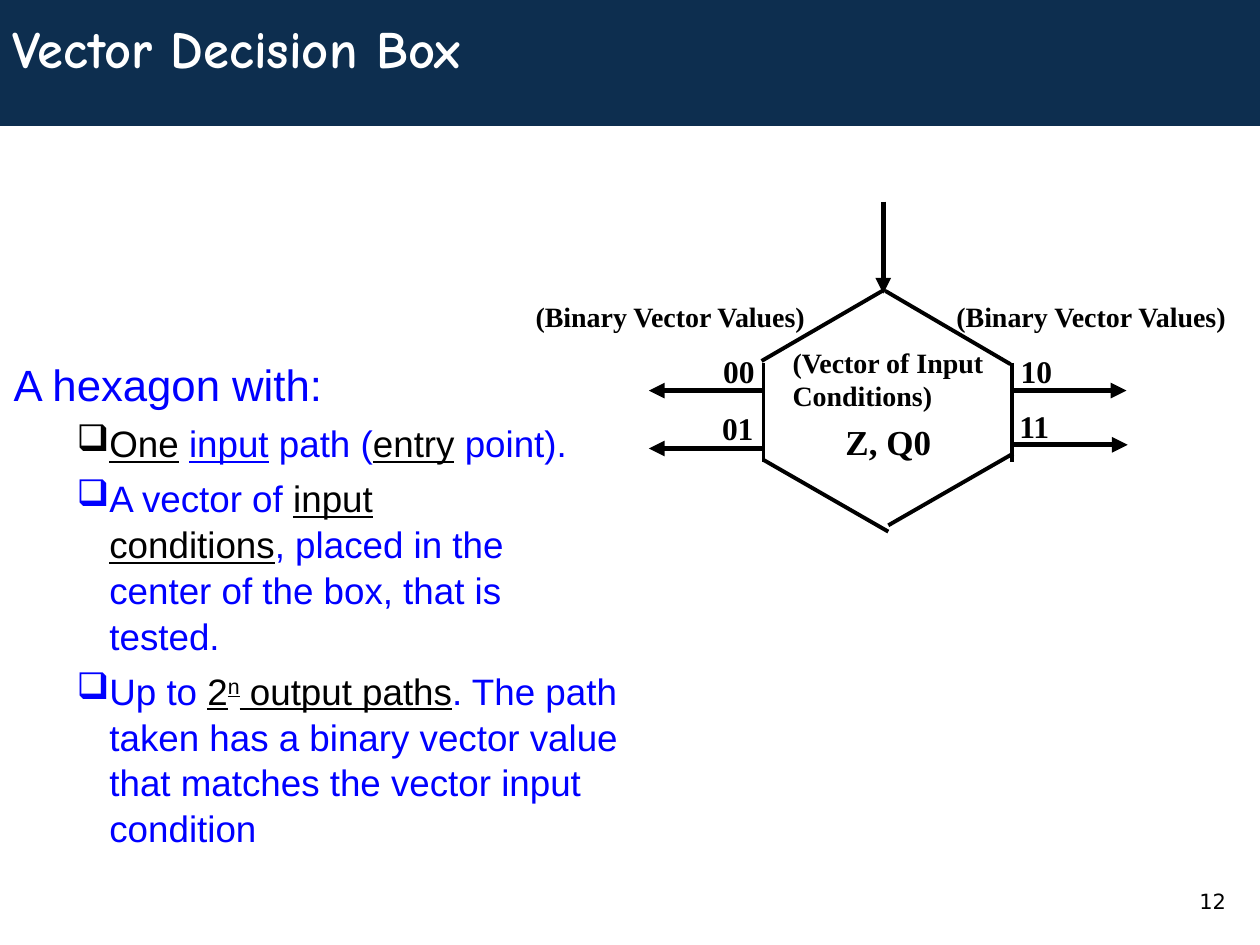
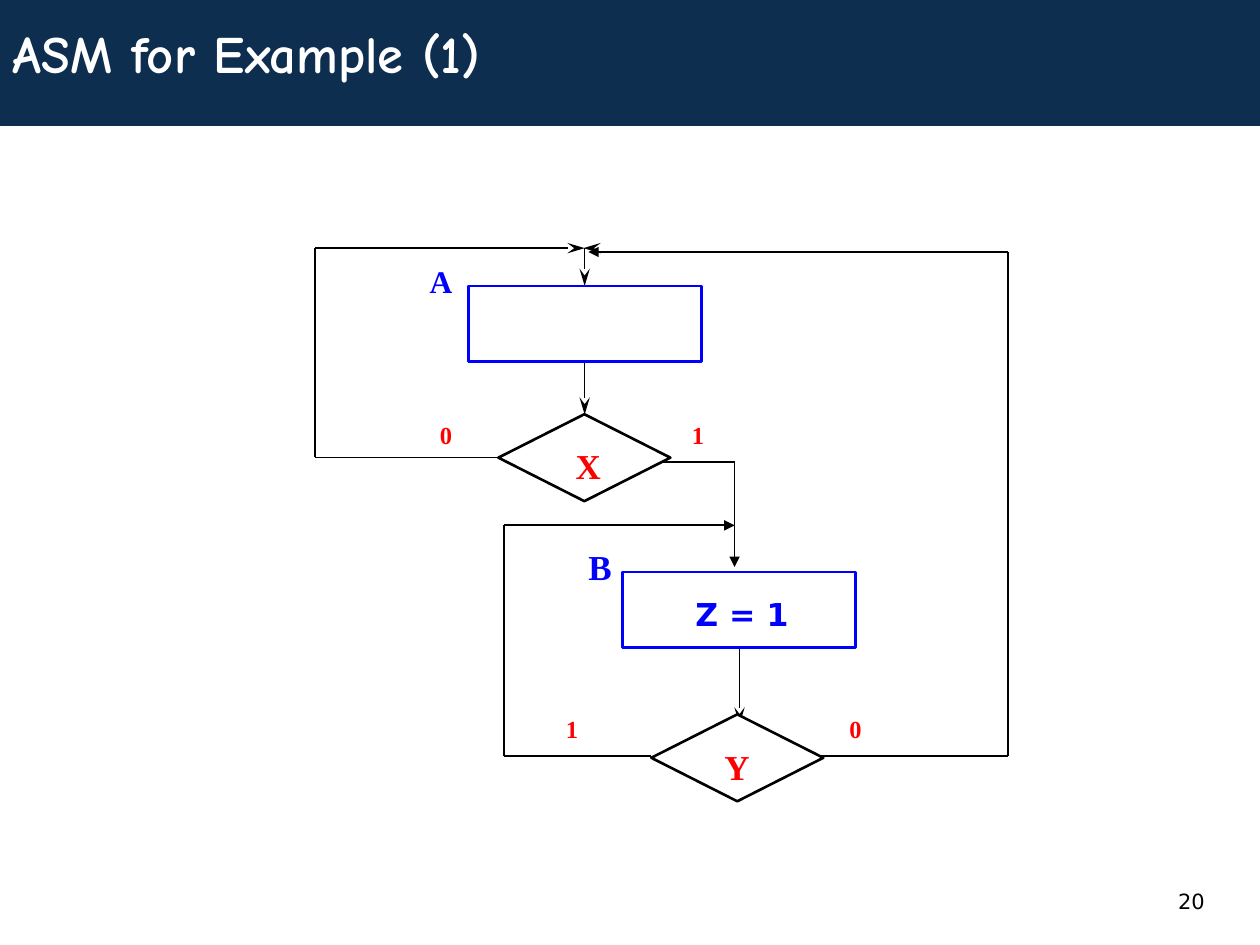
from itertools import pairwise

from lxml import etree
from pptx import Presentation
from pptx import util as u
from pptx.dml import color
from pptx.enum import shapes, text
from pptx.oxml import ns

Pt = u.Pt
rgb = color.RGBColor.from_string
BLACK, BLUE, RED, WHITE, NAVY = "000000", "0000FF", "FF0000", "FFFFFF", "0D2E4F"
SERIF, SANS, BODY, DISPLAY = "Times New Roman", "DejaVu Sans", "Arial", "Comic Neue"


def label(slide, words, left, top, width, size, ink=BLACK, face=SERIF, bold=True):
    box = slide.shapes.add_textbox(Pt(left), Pt(top), Pt(width), Pt(size * 1.2))
    frame = box.text_frame
    frame.margin_left = frame.margin_right = frame.margin_top = frame.margin_bottom = 0
    frame.word_wrap = False
    frame.text = words
    for paragraph in frame.paragraphs:
        for run in paragraph.runs:
            run.font.size, run.font.name, run.font.bold = Pt(size), face, bold
            run.font.color.rgb = rgb(ink)


def route(slide, points, weight, head=None, length="med"):
    for start, end in pairwise(points):
        segment = slide.shapes.add_connector(
            shapes.MSO_CONNECTOR.STRAIGHT, *[Pt(v) for v in start + end])
        segment.line.width = Pt(weight)
        segment.line.color.rgb = rgb(BLACK)
        etree.SubElement(segment._element.spPr, ns.qn("a:effectLst"))
    if head:
        etree.SubElement(segment.line._get_or_add_ln(), ns.qn("a:tailEnd"),
                         type=head, w="med", len=length)


deck = Presentation()
deck.slide_width, deck.slide_height = Pt(720), Pt(540)
layout = deck.slide_layouts[5]

slides = []
for heading, title_height, number, number_left in [
    ("Vector Decision Box", 54, "12", 685.4),
    ("ASM for Example (1)", 60, "20", 673.2),
]:
    slide = deck.slides.add_slide(layout)
    slides.append(slide)
    title = slide.shapes.title
    title.left, title.top, title.width, title.height = 0, 0, Pt(720), Pt(title_height)
    frame = title.text_frame
    frame.text = heading
    frame.auto_size = text.MSO_AUTO_SIZE.NONE
    frame.vertical_anchor = text.MSO_ANCHOR.MIDDLE
    frame.paragraphs[0].alignment = text.PP_ALIGN.LEFT
    font = frame.paragraphs[0].runs[0].font
    font.size, font.name, font.bold = Pt(30), DISPLAY, True
    font.color.rgb = rgb(WHITE)
    label(slide, number, number_left, 507.6, 17, 12, face=SANS, bold=False)

decision, example = slides

band = decision.shapes.add_shape(shapes.MSO_SHAPE.RECTANGLE, 0, 0, Pt(720), Pt(72))
band.shadow.inherit = False
band.fill.solid()
band.fill.fore_color.rgb = rgb(NAVY)
band.line.fill.background()
layout.shapes._spTree.insert(2, band._element)

description = decision.shapes.add_textbox(Pt(0.7), Pt(201), Pt(389.5), Pt(337.5)).text_frame
description.word_wrap = True
lines = [
    (None, [("A hexagon with:", BLUE, False)]),
    (BLACK, [("One", BLACK, True), (" ", BLUE, False), ("input", BLUE, True),
             (" path (", BLUE, False), ("entry", BLACK, True), (" point).", BLUE, False)]),
    (BLUE, [("A vector of ", BLUE, False), ("input\nconditions", BLACK, True),
            (", placed in the\ncenter of the box, that is\ntested.", BLUE, False)]),
    (BLUE, [("Up to ", BLUE, False), ("2", BLACK, True), ("n", BLACK, True),
            (" output paths", BLACK, True),
            (". The path taken has a binary vector value that matches "
             "the vector input condition", BLUE, False)]),
]
for index, (bullet_ink, pieces) in enumerate(lines):
    paragraph = description.add_paragraph() if index else description.paragraphs[0]
    if bullet_ink:
        paragraph.space_before = Pt(5.2)
        paragraph.line_spacing = 1.04
        properties = paragraph._p.get_or_add_pPr()
        properties.set("marL", str(Pt(54.7)))
        properties.set("indent", str(Pt(-18.7)))
        bullet_color = etree.SubElement(properties, ns.qn("a:buClr"))
        etree.SubElement(bullet_color, ns.qn("a:srgbClr"), val=bullet_ink)
        etree.SubElement(properties, ns.qn("a:buChar"), char="❑")
    for words, ink, underlined in pieces:
        for part, line in enumerate(words.split("\n")):
            if part:
                paragraph.add_line_break()
            run = paragraph.add_run()
            run.text = line
            run.font.size = Pt(21 if bullet_ink else 25)
            run.font.name, run.font.underline = BODY, underlined
            run.font.color.rgb = rgb(ink)
            if words == "n":
                run.font._element.set("baseline", "30000")

for side in [
    [(435.2, 206.3), (506, 165.2)],
    [(506, 166.3), (577.4, 208.1)],
    [(436.3, 262.8), (507.6, 303.8)],
    [(507.6, 300.2), (578.9, 259.2)],
    [(436.3, 207.4), (436.3, 264.2)],
    [(578.2, 207.4), (578.2, 264.2)],
]:
    route(decision, side, 2.25)
for path in [
    [(504.7, 115.2), (504.7, 167.8)],
    [(578.2, 223.2), (643.7, 223.2)],
    [(435.6, 223.2), (370.8, 223.2)],
    [(435.6, 256.3), (370.8, 256.3)],
    [(579.6, 254.2), (644.4, 254.2)],
]:
    route(decision, path, 3, "triangle")

for words, left, top, width, size in [
    ("(Vector of Input\nConditions)", 452.9, 197.3, 110.9, 16),
    ("(Binary Vector Values)", 306, 171.4, 157.7, 16),
    ("(Binary Vector Values)", 546.5, 171.4, 157.7, 16),
    ("00", 413.3, 200.9, 18, 18),
    ("01", 412.6, 234, 18, 18),
    ("10", 583.2, 200.9, 18, 18),
    ("11", 582.5, 232.6, 18, 18),
    ("Z, Q0", 483.1, 240.5, 49, 20),
]:
    label(decision, words, left, top, width, size)

for path in [
    [(334.1, 141.8), (334.1, 163.4)],
    [(334.1, 207.4), (334.1, 236.9)],
    [(422.6, 370.8), (422.6, 414)],
    [(285.8, 261.4), (180, 261.4), (180, 141.8), (334.1, 141.8)],
    [(342.7, 141.8), (333.4, 141.8)],
]:
    route(example, path, 0.88, "stealth", "lg")
for path in [
    [(372.2, 432), (288, 432), (288, 300.2), (419.8, 300.2)],
    [(468, 432), (576, 432), (576, 144), (336.2, 144)],
    [(378, 264.2), (419.8, 264.2), (419.8, 324)],
]:
    route(example, path, 1, "triangle")

RECTANGLE, DIAMOND = shapes.MSO_SHAPE.RECTANGLE, shapes.MSO_SHAPE.DIAMOND
for kind, left, top, width, height, ink in [
    (RECTANGLE, 267.8, 163.4, 133.2, 43.2, BLUE),
    (RECTANGLE, 355.7, 326.9, 133.2, 43.2, BLUE),
    (DIAMOND, 284.8, 236.7, 98.3, 49.7, BLACK),
    (DIAMOND, 372.2, 408.2, 98.3, 49.7, BLACK),
]:
    step = example.shapes.add_shape(kind, Pt(left), Pt(top), Pt(width), Pt(height))
    step.shadow.inherit = False
    if kind == DIAMOND:
        step.fill.solid()
        step.fill.fore_color.rgb = rgb(WHITE)
    else:
        step.fill.background()
    step.line.color.rgb = rgb(ink)
    step.line.width = Pt(1.5)

for words, left, top, width, size, ink in [
    ("A", 245.5, 149.8, 13.7, 18, BLUE),
    ("B", 336.2, 311.8, 13.7, 20, BLUE),
    ("X", 329, 254.2, 14.4, 20, RED),
    ("Y", 414, 426.2, 14.4, 20, RED),
    ("0", 251.3, 239.8, 7.9, 14, RED),
    ("1", 395.3, 239.8, 7.9, 14, RED),
    ("1", 323.3, 408.2, 7.9, 14, RED),
    ("0", 485.3, 408.2, 7.9, 14, RED),
]:
    label(example, words, left, top, width, size, ink)
label(example, "Z = 1", 397.4, 339.8, 54, 18, BLUE, SANS)

deck.save("out.pptx")
